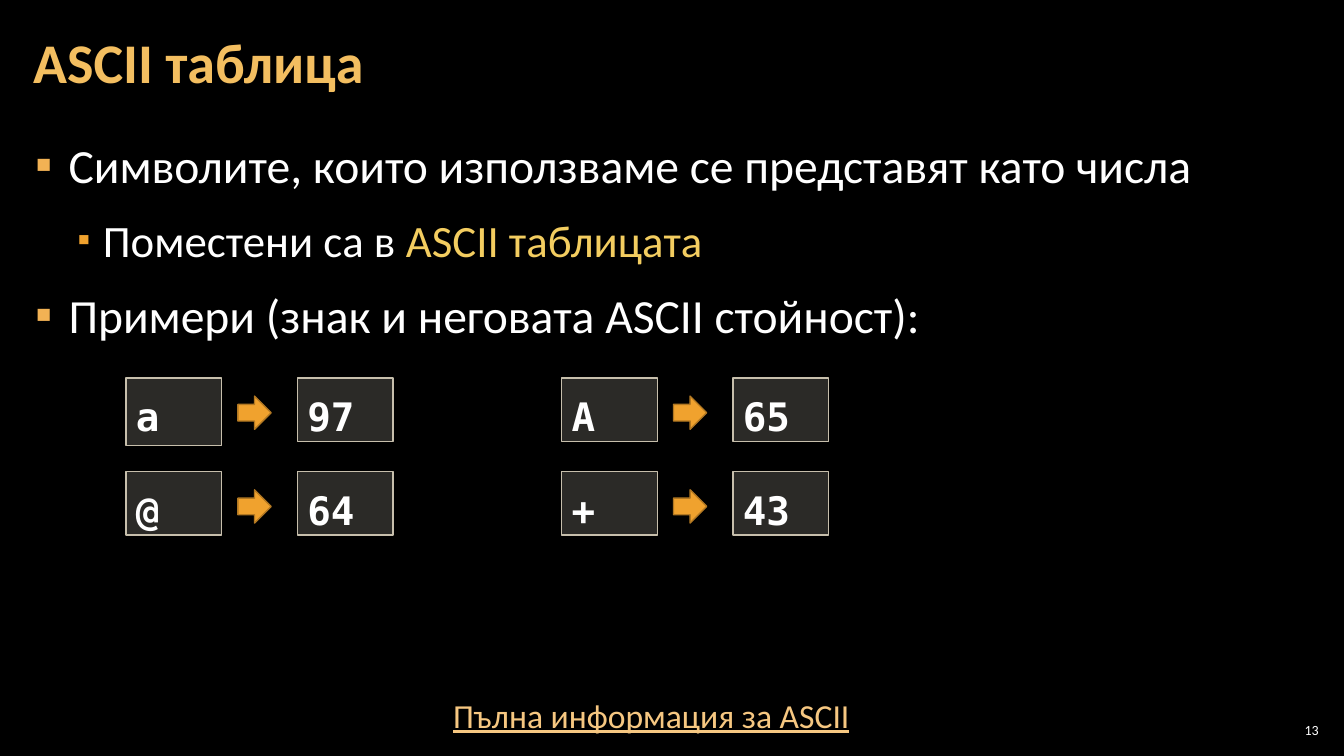
from lxml.etree import SubElement
from pptx import Presentation
from pptx.dml.color import RGBColor
from pptx.enum.shapes import MSO_SHAPE as Shape
from pptx.enum.text import MSO_ANCHOR as Anchor, MSO_AUTO_SIZE as Fit, PP_ALIGN as Align
from pptx.oxml.ns import qn
from pptx.util import Inches, Pt

WIDE, HIGH = 13.33, 7.5
WHITE, GOLD = "FFFFFF", "F3CD60"
TITLE = "ASCII таблица"
LINK = "Пълна информация за ASCII"
PAGE = "13"
POINTS = [
    (0, [("Символите, които използваме се представят като числа", WHITE)]),
    (1, [("Поместени са в ", WHITE), ("ASCII таблицата", GOLD)]),
    (0, [("Примери (знак и неговата ASCII стойност):", WHITE)]),
]
LEVELS = [
    dict(size=34, left=0.33, hang=0.33, tint="F2B254", scale=100),
    dict(size=32, left=0.67, hang=0.25, tint="F0A22E", scale=80),
]
PAIRS = [[("a", "97"), ("A", "65")], [("@", "64"), ("+", "43")]]
LEFT, TOP, COL, ROW = 1.25, 3.75, 4.32, 0.93
BOX_W, BOX_H, ARROW, NEXT = 0.95, 0.63, 0.33, 1.7


def rgb(code):
    """Turn a hex string into a colour."""
    return RGBColor.from_string(code)


def style(par, size, tint=WHITE, face="Calibri", bold=False):
    """Set the font of a paragraph."""
    font = par.font
    font.size, font.name, font.bold = Pt(size), face, bold
    font.color.rgb = rgb(tint)


def label(slide, area, text, size, tint=WHITE, pad=0.1, **look):
    """Add a text box with one line and return it."""
    box = slide.shapes.add_textbox(*map(Inches, area))
    frame = box.text_frame
    frame.word_wrap = True
    frame.margin_left = frame.margin_right = Inches(pad)
    frame.margin_top = frame.margin_bottom = Inches(0.04)
    frame.text = text
    style(frame.paragraphs[0], size, tint, **look)
    return frame


def bullet(par, left, hang, tint, scale):
    """Give a paragraph a square bullet and a hanging indent."""
    props = par._p.get_or_add_pPr()
    props.set("marL", str(Inches(left)))
    props.set("indent", str(-Inches(hang)))
    color = SubElement(props, qn("a:buClr"))
    SubElement(color, qn("a:srgbClr"), val=tint)
    SubElement(props, qn("a:buSzPct"), val=str(scale * 1000))
    SubElement(props, qn("a:buFont"), typeface="Calibri")
    SubElement(props, qn("a:buChar"), char="▪")


def points(slide):
    """Add the bulleted list."""
    frame = label(slide, (0.23, 1.28, 12.91, 6.09), "", 34, pad=0.12)
    frame.clear()
    for num, (level, parts) in enumerate(POINTS):
        par = frame.add_paragraph() if num else frame.paragraphs[0]
        look = dict(LEVELS[level])
        size = look.pop("size")
        par.level, par.line_spacing = level, 1.05
        par.space_before = par.space_after = Pt(6)
        if num == 0:
            par._p.remove(par._p.get_or_add_pPr())
            par.line_spacing = 1.05
            par.space_before = par.space_after = Pt(6)
        bullet(par, **look)
        style(par, size)
        for text, tint in parts:
            run = par.add_run()
            run.text = text
            if tint != WHITE:
                run.font.color.rgb = rgb(tint)


def block(slide, kind, area, fill, edge):
    """Add a filled and outlined shape."""
    shape = slide.shapes.add_shape(kind, *map(Inches, area))
    shape.shadow.inherit = False
    shape.fill.solid()
    shape.fill.fore_color.rgb = rgb(fill)
    shape.line.color.rgb = rgb(edge)
    shape.line.width = Pt(1)
    return shape


def cell(slide, left, top, text):
    """Add a translucent box with a character or a number."""
    high = 0.67 if text == "a" else BOX_H
    shape = block(slide, Shape.RECTANGLE, (left, top, BOX_W, high), "D9D5C7", "C7BFAC")
    color = shape.fill._xPr.find(".//" + qn("a:srgbClr"))
    SubElement(color, qn("a:alpha"), val="20000")
    frame = shape.text_frame
    frame.word_wrap, frame.auto_size = True, Fit.SHAPE_TO_FIT_TEXT
    frame.vertical_anchor = Anchor.TOP
    frame.text = text
    par = frame.paragraphs[0]
    par.alignment, par.line_spacing = Align.LEFT, 1.2
    style(par, 28, face="DejaVu Sans Mono", bold=True)


def grid(slide):
    """Add each character, its arrow and its value."""
    for row, pairs in enumerate(PAIRS):
        for col, (sign, value) in enumerate(pairs):
            left, top = LEFT + col * COL, TOP + row * ROW
            cell(slide, left, top, sign)
            area = (left + 1.11, top + 0.18, ARROW, ARROW)
            block(slide, Shape.RIGHT_ARROW, area, "F0A22E", "B27822")
            cell(slide, left + NEXT, top, value)


def main():
    """Build the slide and save it."""
    deck = Presentation()
    deck.slide_width, deck.slide_height = Inches(WIDE), Inches(HIGH)
    slide = deck.slides.add_slide(deck.slide_layouts[6])
    back = slide.background.fill
    back.solid()
    back.fore_color.rgb = rgb("000000")
    page = label(slide, (12.65, 7.14, 0.47, 0.21), PAGE, 10, pad=0.04)
    page.vertical_anchor = Anchor.MIDDLE
    page.paragraphs[0].alignment = Align.RIGHT
    points(slide)
    title = label(slide, (0.21, 0.04, 10.47, 1.21), TITLE, 40, "F3BE60", 0.12, bold=True)
    title.vertical_anchor = Anchor.MIDDLE
    title.paragraphs[0].line_spacing = 0.9
    link = label(slide, (0.42, 6.85, 12.08, 0.5), LINK, 24, "F6C781")
    link.paragraphs[0].alignment = Align.CENTER
    link.paragraphs[0].font.underline = True
    grid(slide)
    deck.save("out.pptx")


if __name__ == "__main__":
    main()
